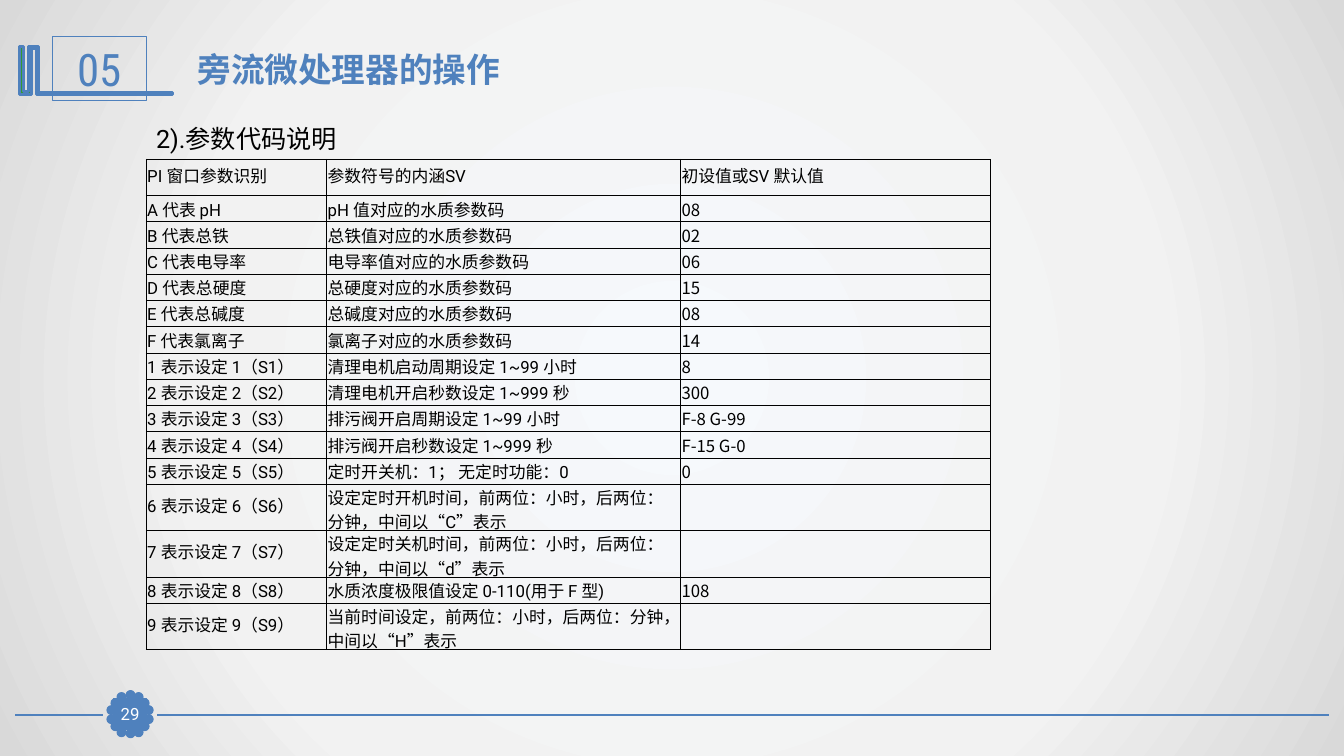
import math
from dataclasses import dataclass

import lxml.etree
import pptx
import pptx.dml.color
import pptx.enum.shapes
import pptx.enum.text
import pptx.oxml
import pptx.oxml.ns
import pptx.util

EMU_PER_PX = 9144
BLUE = "4F81BD"
BLACK = "000000"
WHITE = "FFFFFF"
LATIN = "Roboto"
CHINESE = "Noto Sans CJK SC"
NAMESPACE = "http://schemas.openxmlformats.org/drawingml/2006/main"
SHAPES = pptx.enum.shapes.MSO_SHAPE
ANCHOR = pptx.enum.text.MSO_ANCHOR
ALIGN = pptx.enum.text.PP_ALIGN


@dataclass(frozen=True)
class Box:
    left: int
    top: int
    width: int
    height: int

    def emu(self) -> list[pptx.util.Emu]:
        return [px(side) for side in (self.left, self.top, self.width, self.height)]


@dataclass(frozen=True)
class TextStyle:
    size: int
    colour: str = BLACK
    font: str = LATIN
    bold: bool = False


@dataclass(frozen=True)
class Parameter:
    code: str
    meaning: str
    default: str
    height: int = 26


HEADER = Parameter("PI 窗口参数识别", "参数符号的内涵SV", "初设值或SV 默认值", 36)
PARAMETERS = [
    Parameter("A 代表 pH", "pH 值对应的水质参数码", "08"),
    Parameter("B 代表总铁", "总铁值对应的水质参数码", "02"),
    Parameter("C 代表电导率", "电导率值对应的水质参数码", "06"),
    Parameter("D 代表总硬度", "总硬度对应的水质参数码", "15"),
    Parameter("E 代表总碱度", "总碱度对应的水质参数码", "08"),
    Parameter("F 代表氯离子", "氯离子对应的水质参数码", "14"),
]
SETTINGS = [
    ("清理电机启动周期设定 1~99 小时", "8", 26),
    ("清理电机开启秒数设定 1~999 秒", "300", 26),
    ("排污阀开启周期设定 1~99 小时", "F-8 G-99", 26),
    ("排污阀开启秒数设定 1~999 秒", "F-15 G-0", 26),
    ("定时开关机：1； 无定时功能：0", "0", 26),
    ("设定定时开机时间，前两位：小时，后两位：分钟，中间以“C”表示", "", 46),
    ("设定定时关机时间，前两位：小时，后两位：分钟，中间以“d”表示", "", 46),
    ("水质浓度极限值设定 0-110(用于 F 型)", "108", 26),
    ("当前时间设定，前两位：小时，后两位：分钟，中间以“H”表示", "", 46),
]
PARAMETERS += [
    Parameter(f"{number} 表示设定 {number}（S{number}）", *setting)
    for number, setting in enumerate(SETTINGS, 1)
]
COLUMN_WIDTHS = [179, 351, 307]
BOOKS_OUTLINE = [
    (37, 46), (38, 46), (38, 92), (171, 92), (171, 94), (36, 94), (36, 48), (31, 48),
    (31, 94), (19, 94), (19, 46), (23, 46), (23, 91), (28, 91), (28, 46),
]


def px(length: int) -> pptx.util.Emu:
    return pptx.util.Emu(length * EMU_PER_PX)


def rgb(colour: str) -> pptx.dml.color.RGBColor:
    return pptx.dml.color.RGBColor.from_string(colour)


def write(text_frame, text: str, style: TextStyle, align=None) -> None:
    text_frame.text = text
    for paragraph in text_frame.paragraphs:
        paragraph.alignment = align
        for run in paragraph.runs:
            run.font.size = pptx.util.Pt(style.size)
            run.font.name = style.font
            run.font.bold = style.bold
            run.font.color.rgb = rgb(style.colour)


def paint(shape, fill: str | None, line_width: float) -> None:
    shape.shadow.inherit = False
    if fill:
        shape.fill.solid()
        shape.fill.fore_color.rgb = rgb(fill)
    else:
        shape.fill.background()
    shape.line.color.rgb = rgb(BLUE)
    shape.line.width = pptx.util.Pt(line_width)


def set_background(slide) -> None:
    slide.background.fill.gradient()
    gradient = slide.element.find(f".//{{{NAMESPACE}}}gradFill")
    stops = "".join(
        f'<a:gs pos="{position}000"><a:srgbClr val="{colour}"/></a:gs>'
        for position, colour in [(0, "F6F9FC"), (63, "F2F2F2"), (100, "D9D9D9")]
    )
    gradient.getparent().replace(gradient, pptx.oxml.parse_xml(
        f'<a:gradFill xmlns:a="{NAMESPACE}" rotWithShape="1"><a:gsLst>{stops}</a:gsLst>'
        '<a:path path="circle"><a:fillToRect l="50000" t="50000" r="50000" b="50000"/>'
        "</a:path></a:gradFill>"
    ))


def add_rule(slide, start: int, end: int, top: int) -> None:
    connector = slide.shapes.add_connector(
        pptx.enum.shapes.MSO_CONNECTOR.STRAIGHT, px(start), px(top), px(end), px(top)
    )
    connector.line.color.rgb = rgb(BLUE)
    connector.line.width = pptx.util.Pt(1.25)
    properties = connector.element.spPr
    lxml.etree.SubElement(properties, pptx.oxml.ns.qn("a:effectLst"))


def add_petals(slide, centre_x: int, centre_y: int, radius: int, count: int) -> None:
    for index in range(count):
        angle = math.tau * index / count
        left = round(centre_x + radius * math.sin(angle) - 3.5)
        top = round(centre_y - radius * math.cos(angle) - 3.5)
        petal = slide.shapes.add_shape(SHAPES.OVAL, *Box(left, top, 7, 7).emu())
        paint(petal, BLUE, 2)


def add_books(slide) -> None:
    builder = slide.shapes.build_freeform(*BOOKS_OUTLINE[0], scale=EMU_PER_PX)
    builder.add_line_segments(BOOKS_OUTLINE[1:], close=True)
    paint(builder.convert_to_shape(), "339933", 2)


def add_label(slide, box: Box, text: str, style: TextStyle, fill: str | None, inset: int) -> None:
    shape = slide.shapes.add_shape(SHAPES.RECTANGLE, *box.emu())
    paint(shape, fill, 0.75)
    frame = shape.text_frame
    frame.vertical_anchor = ANCHOR.MIDDLE
    frame.margin_left = frame.margin_right = px(inset)
    frame.margin_top = frame.margin_bottom = px(inset // 2)
    write(frame, text, style, ALIGN.CENTER)


def add_text(slide, box: Box, text: str, style: TextStyle) -> None:
    frame = slide.shapes.add_textbox(*box.emu()).text_frame
    frame.word_wrap = True
    write(frame, text, style)


def format_cell(cell, text: str, font: str) -> None:
    cell.margin_left = cell.margin_top = cell.margin_right = px(1)
    cell.margin_bottom = px(5)
    cell.vertical_anchor = ANCHOR.MIDDLE
    cell.fill.background()
    write(cell.text_frame, text, TextStyle(12, font=font))
    properties = cell._tc.get_or_add_tcPr()
    for index, side in enumerate("LRTB"):
        properties.insert(index, pptx.oxml.parse_xml(
            f'<a:ln{side} xmlns:a="{NAMESPACE}" w="6350"><a:solidFill>'
            f'<a:srgbClr val="{BLACK}"/></a:solidFill></a:ln{side}>'
        ))


def add_parameter_table(slide, left: int, top: int) -> None:
    rows = [HEADER, *PARAMETERS]
    box = Box(left, top, sum(COLUMN_WIDTHS), sum(row.height for row in rows))
    table = slide.shapes.add_table(len(rows), len(COLUMN_WIDTHS), *box.emu()).table
    table.first_row = table.horz_banding = False
    for column, width in zip(table.columns, COLUMN_WIDTHS):
        column.width = px(width)
    for index, row in enumerate(rows):
        table.rows[index].height = px(row.height)
        default_font = LATIN if row is HEADER else CHINESE
        fonts = (LATIN, LATIN, default_font)
        for cell, text, font in zip(
            table.rows[index].cells, (row.code, row.meaning, row.default), fonts
        ):
            format_cell(cell, text, font)


def main() -> None:
    presentation = pptx.Presentation()
    presentation.slide_width, presentation.slide_height = px(1333), px(750)
    slide = presentation.slides.add_slide(presentation.slide_layouts[6])
    set_background(slide)
    add_rule(slide, 1318, 156, 709)
    add_rule(slide, 102, 15, 709)
    add_petals(slide, 129, 709, 19, 14)
    add_books(slide)
    add_label(slide, Box(52, 36, 93, 64), "05", TextStyle(32, BLUE, "Roboto Condensed"), None, 10)
    add_label(slide, Box(113, 693, 32, 31), "29", TextStyle(12, WHITE), BLUE, 0)
    add_text(slide, Box(186, 44, 969, 50), "旁流微处理器的操作", TextStyle(24, BLUE, bold=True))
    add_parameter_table(slide, 145, 158)
    add_text(slide, Box(145, 117, 514, 40), "2).参数代码说明", TextStyle(18))
    presentation.save("out.pptx")


if __name__ == "__main__":
    main()
